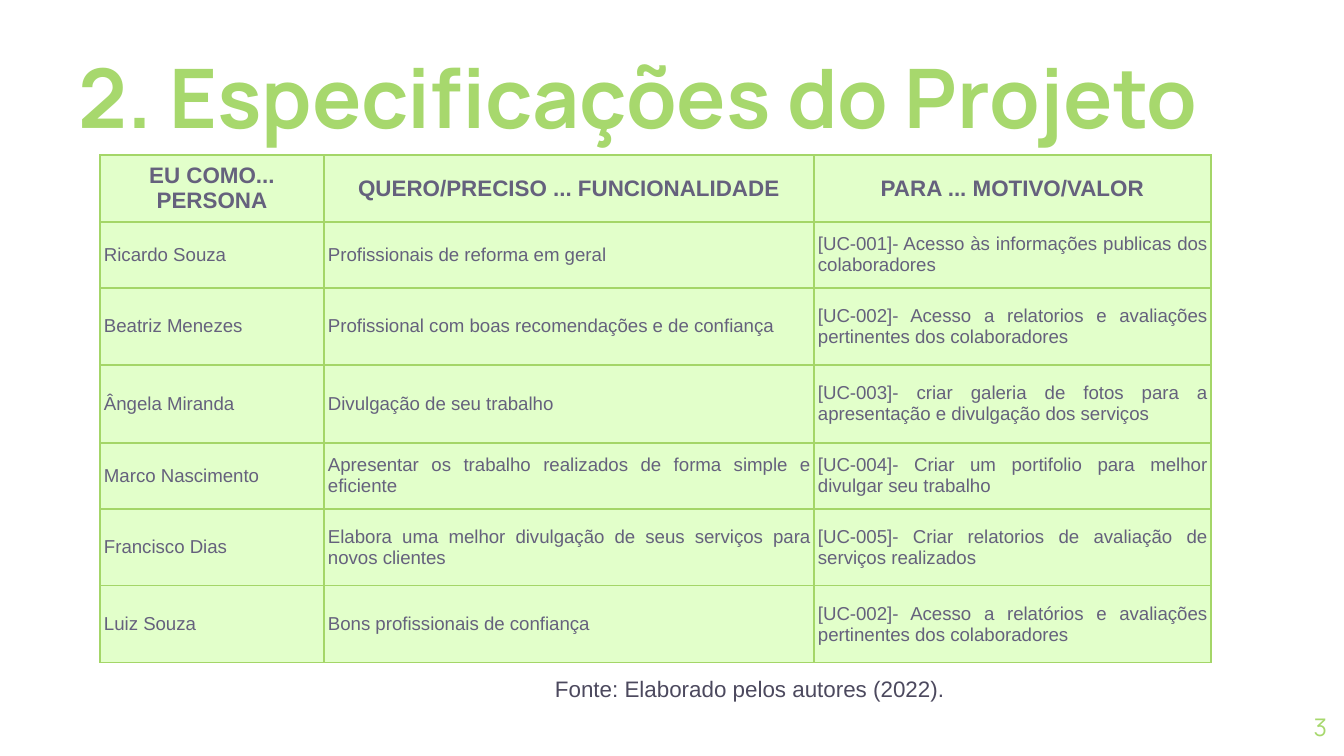
"""Builds the project specification slide with its user story table."""
from lxml import etree
from pptx import Presentation
from pptx.dml.color import RGBColor
from pptx.enum.shapes import MSO_SHAPE
from pptx.enum.text import MSO_ANCHOR, MSO_AUTO_SIZE, PP_ALIGN
from pptx.oxml.ns import qn
from pptx.util import Emu, Pt

RECTANGLE = MSO_SHAPE.RECTANGLE
TOP, MIDDLE, BOTTOM = MSO_ANCHOR.TOP, MSO_ANCHOR.MIDDLE, MSO_ANCHOR.BOTTOM
LEFT, CENTER, RIGHT, JUSTIFY = PP_ALIGN.LEFT, PP_ALIGN.CENTER, PP_ALIGN.RIGHT, PP_ALIGN.JUSTIFY
NO_AUTOFIT = MSO_AUTO_SIZE.NONE
TITLE_ONLY = 5
PX_PER_INCH = 134.4
COLORS = {
    "accent": "A7D86D",
    "border": "A4D668",
    "cell": "E2FFCA",
    "table_text": "65617D",
    "caption": "4C495E",
    "white": "FFFFFF",
}
COLUMN_WIDTHS = [224, 490, 397]
ROW_HEIGHTS = [67, 66, 77, 78, 66, 77, 77]
USER_STORIES = [
    ("EU COMO... PERSONA", "QUERO/PRECISO ... FUNCIONALIDADE", "PARA ... MOTIVO/VALOR"),
    ("Ricardo Souza", "Profissionais de reforma em geral",
     "[UC-001]- Acesso às informações publicas dos colaboradores"),
    ("Beatriz Menezes", "Profissional com boas recomendações e de confiança",
     "[UC-002]- Acesso a relatorios e avaliações pertinentes dos colaboradores"),
    ("Ângela Miranda", "Divulgação de seu trabalho",
     "[UC-003]- criar galeria de fotos para a apresentação e divulgação dos serviços"),
    ("Marco Nascimento", "Apresentar os trabalho realizados de forma simple e eficiente",
     "[UC-004]- Criar um portifolio para melhor divulgar seu trabalho"),
    ("Francisco Dias", "Elabora uma melhor divulgação de seus serviços para novos clientes",
     "[UC-005]- Criar relatorios de avaliação de serviços realizados"),
    ("Luiz Souza", "Bons profissionais de confiança",
     "[UC-002]- Acesso a relatórios e avaliações pertinentes dos colaboradores"),
]


def px(length):
    return Emu(round(length * 914400 / PX_PER_INCH))


def rgb(name):
    return RGBColor.from_string(COLORS[name])


class SlideBuilder:
    def __init__(self, slide):
        self.slide = slide
        self.heading_font = "Manrope"
        self.body_font = "Arial"

    def set_text(self, text_frame, text, size, color, font, align=LEFT, bold=False):
        text_frame.text = text
        paragraph = text_frame.paragraphs[0]
        paragraph.alignment = align
        run_font = paragraph.runs[0].font
        run_font.name, run_font.size, run_font.bold = font, Pt(size), bold
        run_font.color.rgb = rgb(color)

    def frame(self, shape, anchor, wrap=True):
        text_frame = shape.text_frame
        text_frame.margin_left = text_frame.margin_right = 0
        text_frame.margin_top = text_frame.margin_bottom = 0
        text_frame.auto_size = NO_AUTOFIT
        text_frame.vertical_anchor = anchor
        text_frame.word_wrap = wrap
        return text_frame

    def title(self, text, left, top, width, height):
        shape = self.slide.shapes.title
        shape.left, shape.top, shape.width, shape.height = map(px, (left, top, width, height))
        self.set_text(self.frame(shape, BOTTOM), text, 44, "accent", self.heading_font, bold=True)

    def page_number(self, text, left, top, width, height):
        shape = self.slide.shapes.add_textbox(*map(px, (left, top, width, height)))
        self.set_text(self.frame(shape, MIDDLE), text, 13, "accent", self.heading_font, RIGHT)

    def caption(self, text, left, top, width, height):
        shape = self.slide.shapes.add_shape(RECTANGLE, *map(px, (left, top, width, height)))
        shape.shadow.inherit = False
        shape.fill.solid()
        shape.fill.fore_color.rgb = rgb("white")
        shape.line.fill.background()
        self.set_text(self.frame(shape, TOP, wrap=False), text, 12, "caption", self.body_font)

    def cell_borders(self, cell):
        properties = cell._tc.get_or_add_tcPr()
        for index, side in enumerate(("a:lnL", "a:lnR", "a:lnT", "a:lnB")):
            line = etree.Element(qn(side), w=str(Pt(0.75)))
            fill = etree.SubElement(line, qn("a:solidFill"))
            etree.SubElement(fill, qn("a:srgbClr"), val=COLORS["border"])
            properties.insert(index, line)

    def cell(self, cell, text, header):
        cell.margin_left = cell.margin_right = px(4)
        cell.margin_top = cell.margin_bottom = px(1)
        cell.vertical_anchor = MIDDLE
        cell.fill.solid()
        cell.fill.fore_color.rgb = rgb("cell")
        self.cell_borders(cell)
        self.set_text(cell.text_frame, text, 12 if header else 10, "table_text", self.body_font,
                      CENTER if header else JUSTIFY, header)

    def table(self, rows, left, top, column_widths, row_heights):
        size = sum(column_widths), sum(row_heights)
        table = self.slide.shapes.add_table(
            len(rows), len(column_widths), *map(px, (left, top, *size))).table
        for column, width in zip(table.columns, column_widths):
            column.width = px(width)
        for row, height in zip(table.rows, row_heights):
            row.height = px(height)
        for row_index, texts in enumerate(rows):
            for column_index, text in enumerate(texts):
                self.cell(table.cell(row_index, column_index), text, row_index == 0)


def main():
    presentation = Presentation()
    presentation.slide_width, presentation.slide_height = px(1344), px(756)
    slide = presentation.slides.add_slide(presentation.slide_layouts[TITLE_ONLY])
    builder = SlideBuilder(slide)
    builder.title("2. Especificações do Projeto", 79, 19, 1207, 126)
    builder.page_number("3", 1246, 698, 81, 58)
    builder.caption("Fonte: Elaborado pelos autores (2022).", 555, 675, 392, 67)
    builder.table(USER_STORIES, 100, 155, COLUMN_WIDTHS, ROW_HEIGHTS)
    presentation.save("out.pptx")


if __name__ == "__main__":
    main()
